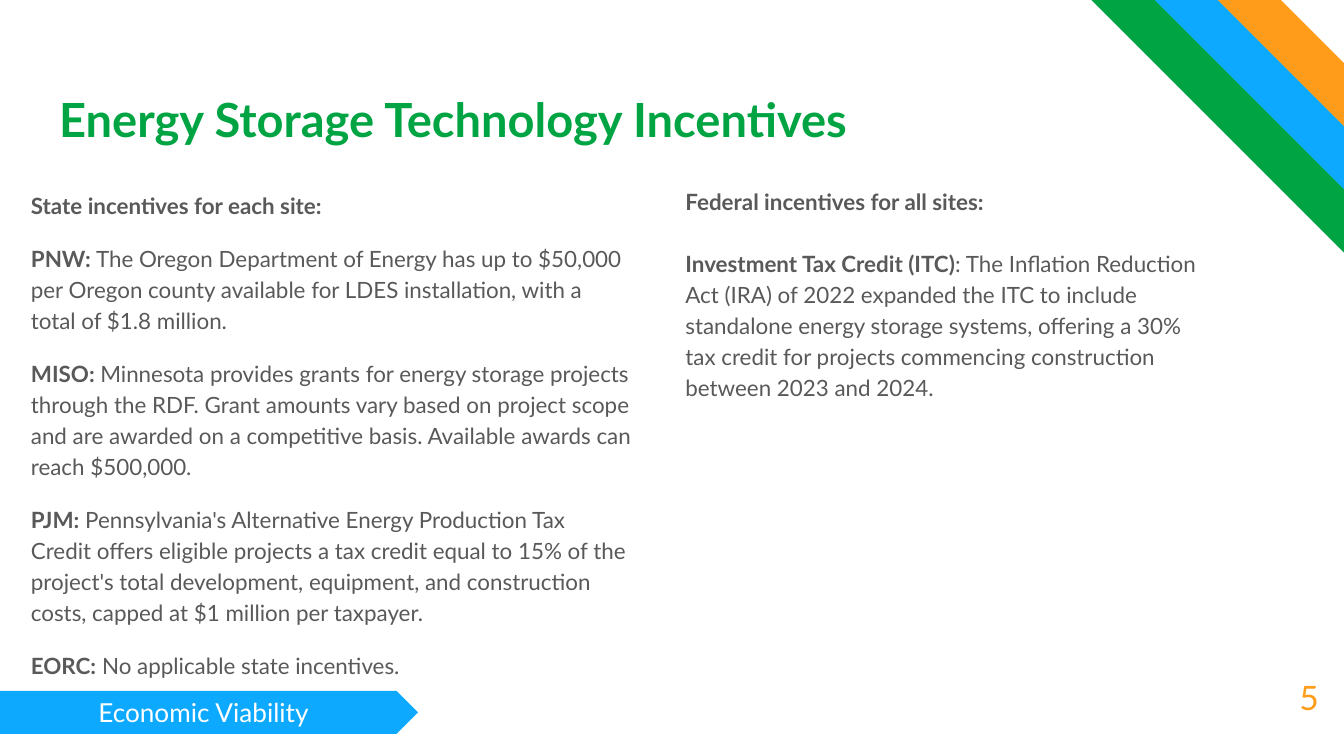
from lxml.etree import SubElement
from pptx import Presentation
from pptx.dml.color import RGBColor
from pptx.enum.shapes import MSO_SHAPE
from pptx.enum.text import MSO_ANCHOR, MSO_AUTO_SIZE, PP_ALIGN
from pptx.oxml.ns import qn
from pptx.util import Inches, Pt

COLORS = {"green": "00A443", "blue": "0DA9FF", "orange": "FF9C1A",
          "grey": "595959", "white": "FFFFFF"}

STATE = [
    ("State incentives for each site:", ""),
    ("PNW:", " The Oregon Department of Energy has up to $50,000 per Oregon county "
     "available for LDES installation, with a total of $1.8 million."),
    ("MISO: ", "Minnesota provides grants for energy storage projects through the RDF. "
     "Grant amounts vary based on project scope and are awarded on a competitive basis. "
     "Available awards can reach $500,000."),
    ("PJM:", " Pennsylvania's Alternative Energy Production Tax Credit offers eligible "
     "projects a tax credit equal to 15% of the project's total development, equipment, "
     "and construction costs, capped at $1 million per taxpayer."),
    ("EORC:", " No applicable state incentives."),
]
FEDERAL = [
    ("Federal incentives for all sites:", ""),
    ("Investment Tax Credit (ITC)", ": The Inflation Reduction Act (IRA) of 2022 expanded "
     "the ITC to include standalone energy storage systems, offering a 30% tax credit for "
     "projects commencing construction between 2023 and 2024."),
]


def rgb(name):
    return RGBColor.from_string(COLORS[name])


def place(sp, box):
    for name, value in zip(("left", "top", "width", "height"), box):
        setattr(sp, name, Inches(value))


def set_frame(tf, anchor=MSO_ANCHOR.TOP):
    values = {"word_wrap": True, "auto_size": MSO_AUTO_SIZE.NONE,
              "vertical_anchor": anchor}
    for side in ("left", "top", "right", "bottom"):
        values["margin_" + side] = Inches(0.1)
    for name, value in values.items():
        setattr(tf, name, value)


def add_run(p, text, size, color, bold=False):
    r = p.add_run()
    r.text = text
    for name, value in {"name": "Lato", "size": Pt(size), "bold": bold}.items():
        setattr(r.font, name, value)
    r.font.color.rgb = rgb(color)


def add_preset(s, kind, box, color, adj):
    sp = s.shapes.add_shape(kind, *map(Inches, box))
    sp.shadow.inherit = False
    sp.fill.solid()
    sp.fill.fore_color.rgb = rgb(color)
    sp.line.fill.background()
    sp.adjustments[0] = adj
    return sp


def fill_title(sp, box, text):
    place(sp, box)
    set_frame(sp.text_frame)
    p = sp.text_frame.paragraphs[0]
    p.alignment = PP_ALIGN.LEFT
    add_run(p, text, 25.2, "green", True)


def fill_column(sp, box, items, gap, first_spacing):
    place(sp, box)
    tf = sp.text_frame
    set_frame(tf)
    for i, (label, text) in enumerate(items):
        p = tf.paragraphs[0] if i == 0 else tf.add_paragraph()
        p.line_spacing = 1.15 if i else first_spacing
        p.space_before = Pt(gap if i else 0)
        pPr = p._p.get_or_add_pPr()
        pPr.set("marL", "0")
        pPr.set("indent", "0")
        SubElement(pPr, qn("a:buNone"))
        add_run(p, label, 12, "grey", True)
        if text:
            add_run(p, text, 12, "grey")


def add_corner_stripes(s, right, top, step):
    for n, color in enumerate(("orange", "blue", "green"), start=2):
        side = n * step
        sp = add_preset(s, MSO_SHAPE.DIAGONAL_STRIPE, (right - side, top, side, side),
                        color, (n - 1) / n)
        sp.rotation = 90


def add_section_tag(s, box, text):
    sp = add_preset(s, MSO_SHAPE.PENTAGON, box, "blue", 0.5)
    set_frame(sp.text_frame, MSO_ANCHOR.MIDDLE)
    p = sp.text_frame.paragraphs[0]
    p.alignment = PP_ALIGN.CENTER
    add_run(p, text, 14, "white")


def add_page_number(s, box, text):
    sp = s.shapes.add_textbox(*map(Inches, box))
    set_frame(sp.text_frame)
    add_run(sp.text_frame.paragraphs[0], text, 18, "orange")


def main():
    prs = Presentation()
    prs.slide_width, prs.slide_height = Inches(10), Inches(10 * 9 / 16)
    s = prs.slides.add_slide(prs.slide_layouts[3])
    title, state, federal = s.placeholders
    fill_title(title, (0.34, 0.57, 9.32, 0.63), "Energy Storage Technology Incentives")
    add_corner_stripes(s, 10, 0, 0.47)
    add_section_tag(s, (0, 5.14, 3.11, 0.32), "Economic Viability")
    add_page_number(s, (9.57, 4.94, 0.42, 0.53), "5")
    fill_column(state, (0.13, 1.3, 4.67, 3.74), STATE, 12, 1.15)
    fill_column(federal, (5, 1.3, 4.02, 3.94), FEDERAL, 16.6, 1.0)
    prs.save("out.pptx")


if __name__ == "__main__":
    main()
